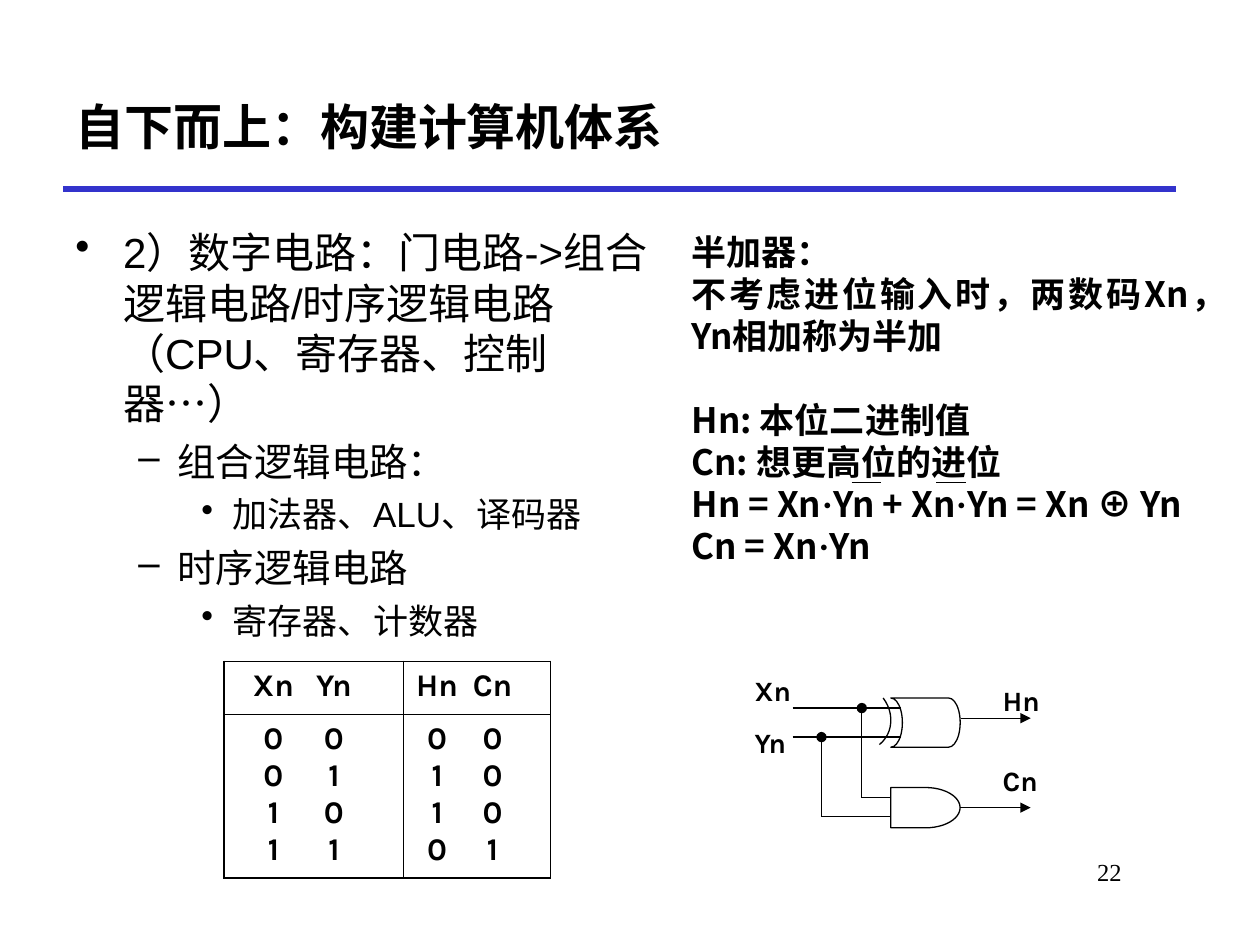
"""Build the half adder slide: bullets, definitions, truth table and gate diagram."""
from lxml.etree import SubElement
from pptx import Presentation
from pptx.dml.color import RGBColor
from pptx.enum.shapes import MSO_CONNECTOR as Connector, MSO_SHAPE as Shape
from pptx.enum.text import MSO_ANCHOR as Anchor, PP_ALIGN as Align
from pptx.oxml.ns import qn
from pptx.util import Inches, Pt

BLACK, BLUE = "000000", "3333CC"
CJK, ROMAN, LABEL = "Noto Sans CJK SC", "Times New Roman", "Karla"
LEVELS = [
    {"size": 24, "mark": "•", "margin": 0.38, "hang": 0.38, "before": 6},
    {"size": 22, "mark": "–", "margin": 0.81, "hang": 0.31, "before": 5.5},
    {"size": 20, "mark": "•", "margin": 1.25, "hang": 0.25, "before": 5},
]
BULLETS = [
    (0, "2）数字电路：门电路->组合逻辑电路/时序逻辑电路（CPU、寄存器、控制器…）"),
    (1, "组合逻辑电路："),
    (2, "加法器、ALU、译码器"),
    (1, "时序逻辑电路"),
    (2, "寄存器、计数器"),
]
DEFINITIONS = [
    ("半加器：", 0),
    ("不考虑进位输入时，两数码Xn，Yn相加称为半加", 0),
    ("Hn: 本位二进制值", 24),
    ("Cn: 想更高位的进位", 0),
    ("Hn = Xn·Yn + Xn·Yn = Xn ⊕ Yn", 0),
    ("Cn = Xn·Yn", 0),
]
TRUTH = [
    [[("Xn", "Yn")], [("Hn", "Cn")]],
    [[(0, 0), (0, 1), (1, 0), (1, 1)], [(0, 0), (1, 0), (1, 0), (0, 1)]],
]
TAB_STOPS = [(0.29, 0.77), (0.17, 0.61)]


def color(value):
    return RGBColor.from_string(value)


class SlideBuilder:
    """Hold the style and the current slide, and add each kind of element."""

    def __init__(self, presentation):
        self.slide = presentation.slides.add_slide(presentation.slide_layouts[5])
        self.shapes = self.slide.shapes

    def add_runs(self, paragraph, text, size, name, bold=False):
        for index, part in enumerate(text.split("·")):
            pieces = [("·", ROMAN), (part, name)] if index else [(part, name)]
            for words, face in pieces:
                run = paragraph.add_run()
                run.text = words
                values = {"size": Pt(size), "name": face, "bold": bold}
                for key, value in values.items():
                    setattr(run.font, key, value)
                run.font.color.rgb = color(BLACK)
                SubElement(run._r.get_or_add_rPr(), qn("a:ea"), typeface=CJK)

    def title(self, text, *box):
        title = self.shapes.title
        for key, value in zip(("left", "top", "width", "height"), box):
            setattr(title, key, Inches(value))
        title.text_frame.vertical_anchor = Anchor.MIDDLE
        paragraph = title.text_frame.paragraphs[0]
        paragraph.alignment = Align.LEFT
        self.add_runs(paragraph, text, 28, "Comic Neue", True)

    def paragraphs(self, frame, count):
        return [frame.paragraphs[0]] + [frame.add_paragraph() for _ in range(count - 1)]

    def frame(self, *box):
        frame = self.shapes.add_textbox(*map(Inches, box)).text_frame
        frame.word_wrap = True
        return frame

    def text(self, lines, *box, size=16, name=LABEL, bold=True, align=Align.LEFT):
        frame = self.frame(*box)
        for paragraph, (line, before) in zip(self.paragraphs(frame, len(lines)), lines):
            paragraph.alignment = align
            if before:
                paragraph.space_before = Pt(before)
            self.add_runs(paragraph, line, size, name, bold)

    def bullets(self, items, *box):
        frame = self.frame(*box)
        paragraphs = self.paragraphs(frame, len(items))
        for index, (paragraph, (level, line)) in enumerate(zip(paragraphs, items)):
            style = LEVELS[level]
            paragraph.level = level
            properties = paragraph._p.get_or_add_pPr()
            properties.set("marL", str(Inches(style["margin"])))
            properties.set("indent", str(-Inches(style["hang"])))
            SubElement(properties, qn("a:buChar"), char=style["mark"])
            if index:
                paragraph.space_before = Pt(style["before"])
            self.add_runs(paragraph, line, style["size"], "Arial")

    def border(self, cell, widths):
        properties = cell._tc.get_or_add_tcPr()
        for side, width in zip("LRTB", widths):
            line = SubElement(properties, qn(f"a:ln{side}"), w=str(Pt(width)))
            fill = SubElement(line, qn("a:solidFill"))
            SubElement(fill, qn("a:srgbClr"), val=BLACK)

    def table(self, rows, widths, heights, left, top):
        box = map(Inches, (left, top, sum(widths), sum(heights)))
        table = self.shapes.add_table(len(rows), len(widths), *box).table
        for column, width in zip(table.columns, widths):
            column.width = Inches(width)
        for row, height in zip(table.rows, heights):
            row.height = Inches(height)
        outer, inner = 1.08, 0.45
        for r, row in enumerate(rows):
            for c, pairs in enumerate(row):
                cell = table.cell(r, c)
                edges = (c == 0, c == len(widths) - 1, r == 0, r == len(rows) - 1)
                self.border(cell, [outer if edge else inner for edge in edges])
                cell.fill.background()
                paragraphs = self.paragraphs(cell.text_frame, len(pairs))
                for paragraph, pair in zip(paragraphs, pairs):
                    properties = paragraph._p.get_or_add_pPr()
                    stops = SubElement(properties, qn("a:tabLst"))
                    for stop in TAB_STOPS[c]:
                        SubElement(stops, qn("a:tab"), pos=str(Inches(stop)), algn="ctr")
                    line = "".join(f"\t{value}" for value in pair)
                    self.add_runs(paragraph, line, 18, LABEL, True)

    def outline(self, shape):
        shape.shadow.inherit = False
        shape.fill.background()
        shape.line.color.rgb = color(BLACK)
        shape.line.width = Pt(0.75)
        return shape

    def gate(self, kind, *box, rotation=0):
        shape = self.outline(self.shapes.add_shape(kind, *map(Inches, box)))
        shape.rotation = rotation
        return shape

    def curve(self, *controls, steps=12):
        points = []
        for step in range(steps + 1):
            t = step / steps
            weights = ((1 - t) ** 3, 3 * t * (1 - t) ** 2, 3 * t * t * (1 - t), t ** 3)
            points.append([
                Inches(sum(w * point[axis] for w, point in zip(weights, controls)))
                for axis in (0, 1)
            ])
        builder = self.shapes.build_freeform(*points[0])
        builder.add_line_segments(points[1:], close=False)
        self.outline(builder.convert_to_shape())

    def line(self, x1, y1, x2, y2, tail=None, start=None, ink=BLACK, width=0.75):
        ends = map(Inches, (x1, y1, x2, y2))
        connector = self.shapes.add_connector(Connector.STRAIGHT, *ends)
        connector.line.color.rgb = color(ink)
        connector.line.width = Pt(width)
        properties = connector._element.spPr
        if tail:
            SubElement(properties.get_or_add_ln(), qn("a:tailEnd"), type=tail)
        SubElement(properties, qn("a:effectLst"))
        if start:
            connector.begin_connect(start, 3)


def main():
    presentation = Presentation()
    presentation.slide_width, presentation.slide_height = Inches(10), Inches(7.5)
    builder = SlideBuilder(presentation)
    builder.title("自下而上：构建计算机体系", 0.5, 0.5, 8.83, 1)
    builder.line(0.5, 1.5, 9.33, 1.5, ink=BLUE, width=3)
    builder.bullets(BULLETS, 0.5, 1.75, 4.83, 4.83)
    builder.text([("22", 0)], 7.58, 6.75, 1.42, 0.5,
                 size=14, name=ROMAN, bold=False, align=Align.RIGHT)
    builder.text(DEFINITIONS, 5.39, 1.78, 4.44, 3.1,
                 size=20, name=CJK, align=Align.JUSTIFY)
    for left, right in ((6.76, 6.99), (7.43, 7.67)):
        builder.line(left, 3.83, right, 3.83)
    builder.table(TRUTH, (1.42, 1.17), (0.42, 1.3), 1.78, 5.25)

    builder.gate(Shape.FLOWCHART_STORED_DATA, 7.07, 5.54, 0.55, 0.39, rotation=180)
    builder.curve((6.98, 5.91), (7.09, 5.82), (7.1, 5.66), (7.01, 5.54))
    and_gate = builder.gate(Shape.FLOWCHART_DELAY, 7.07, 6.25, 0.55, 0.32)
    for x, input_y, and_y in ((6.84, 5.62, 6.33), (6.52, 5.85, 6.48)):
        builder.line(6.29, input_y, 7.15, input_y)
        builder.line(x, and_y, 7.07, and_y)
        builder.line(x, and_y, x, input_y, tail="oval")
    builder.line(7.63, 5.7, 8.18, 5.7, tail="triangle")
    builder.line(7.62, 6.41, 8.18, 6.41, tail="triangle", start=and_gate)
    builder.text([("Xn", 0), ("Yn", 10)], 5.89, 5.3, 0.71, 0.77)
    for label, top in (("Hn", 5.38), ("Cn", 6.01)):
        builder.text([(label, 0)], 7.86, top, 0.71, 0.37)
    presentation.save("out.pptx")


if __name__ == "__main__":
    main()
